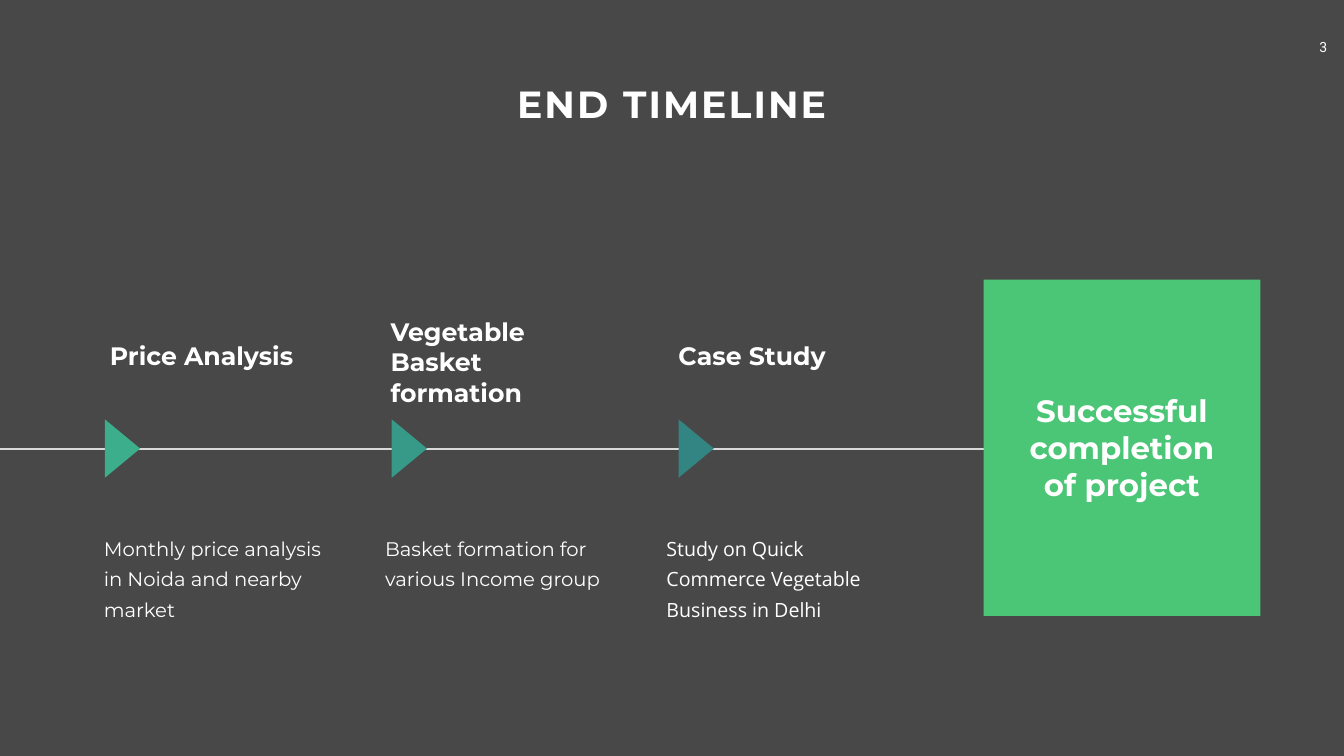
from dataclasses import dataclass

from lxml import etree
from pptx import Presentation
from pptx.dml.color import RGBColor
from pptx.enum.shapes import MSO_CONNECTOR, MSO_SHAPE
from pptx.enum.text import PP_ALIGN
from pptx.oxml.ns import qn
from pptx.util import Inches, Pt

STRAIGHT = MSO_CONNECTOR.STRAIGHT
RECTANGLE = MSO_SHAPE.RECTANGLE
TRIANGLE = MSO_SHAPE.ISOSCELES_TRIANGLE
LEFT, CENTER = PP_ALIGN.LEFT, PP_ALIGN.CENTER

AXIS_Y = 8.9
FIRST_MARKER, MARKER_STEP = 1.85, 5.69
FIRST_DETAIL, DETAIL_STEP = 1.82, 5.58


@dataclass(frozen=True)
class Theme:
    background: str = "484848"
    text: str = "FFFFFF"
    axis: str = "D9D9D9"
    goal: str = "4BC676"
    markers: tuple = ("3CAE8C", "379987", "328582")
    font: str = "Montserrat"
    detail_font: str = "Open Sans"
    number_font: str = "Roboto"
    title_size: int = 54
    goal_size: int = 44
    heading_size: int = 36
    detail_size: int = 28
    detail_line: int = 43
    number_size: int = 20


class SlideBuilder:
    def __init__(self, slide, theme):
        self.slide = slide
        self.theme = theme
        fill = slide.background.fill
        fill.solid()
        fill.fore_color.rgb = RGBColor.from_string(theme.background)

    def text(self, place, words, size, font=None, bold=False, align=LEFT,
             inset=0.1, line=None, tracking=0):
        """Add a text box; line is a fixed line height and tracking letter spacing, in points."""
        box = self.slide.shapes.add_textbox(*map(Inches, place))
        frame = box.text_frame
        frame.word_wrap = True
        frame.margin_left = frame.margin_right = Inches(inset)
        frame.margin_top = frame.margin_bottom = Inches(inset / 2)
        frame.text = words
        para = frame.paragraphs[0]
        para.alignment = align
        if line:
            para.line_spacing = Pt(line)
        span = para.runs[0]
        span.font.name = font or self.theme.font
        span.font.size = Pt(size)
        span.font.bold = bold
        span.font.color.rgb = RGBColor.from_string(self.theme.text)
        if tracking:
            span.font._element.set("spc", str(tracking * 100))

    def shape(self, kind, place, color, rotation=0):
        shape = self.slide.shapes.add_shape(kind, *map(Inches, place))
        shape.shadow.inherit = False
        shape.fill.solid()
        shape.fill.fore_color.rgb = RGBColor.from_string(color)
        shape.line.fill.background()
        shape.rotation = rotation

    def line(self, start, end, color, width):
        connector = self.slide.shapes.add_connector(
            STRAIGHT, *map(Inches, start + end))
        connector.line.color.rgb = RGBColor.from_string(color)
        connector.line.width = Pt(width)
        etree.SubElement(connector._element.spPr, qn("a:effectLst"))

    def step(self, index, heading, heading_left, heading_top, detail, detail_font):
        """Add one timeline step: heading above, marker on the axis, detail below."""
        theme = self.theme
        self.text((heading_left, heading_top, 3.92, 0.71), heading,
                  theme.heading_size, bold=True)
        width, height = 1.16, 0.7
        self.shape(TRIANGLE,
                   (FIRST_MARKER + index * MARKER_STEP, AXIS_Y - height / 2, width, height),
                   theme.markers[index], rotation=90)
        self.text((FIRST_DETAIL + index * DETAIL_STEP, 10.41, 4.81, 2), detail,
                  theme.detail_size, detail_font, inset=0.24, line=theme.detail_line)


def main():
    theme = Theme()
    deck = Presentation()
    deck.slide_width, deck.slide_height = Inches(26.66), Inches(15)
    page = SlideBuilder(deck.slides.add_slide(deck.slide_layouts[6]), theme)

    page.text((25.8, 0.72, 0.9, 0.44), "3", theme.number_size,
              theme.number_font, align=CENTER)
    page.text((9.61, 1.55, 7.43, 1.01), "END TIMELINE", theme.title_size,
              bold=True, align=CENTER, tracking=3)

    page.line((0, AXIS_Y), (21.7, AXIS_Y), theme.axis, 3)
    page.shape(RECTANGLE, (19.51, 5.55, 5.49, 6.67), theme.goal)
    page.text((20.05, 7.72, 4.41, 2.32), "Successful completion of project",
              theme.goal_size, bold=True, align=CENTER)

    steps = [
        ("Price Analysis", 2.08, 6.7,
         "Monthly price analysis in Noida and nearby market", theme.font),
        ("Vegetable Basket formation", 7.65, 6.23,
         "Basket formation for various Income group", theme.font),
        ("Case Study", 13.36, 6.7,
         "Study on Quick Commerce Vegetable Business in Delhi", theme.detail_font),
    ]
    for index, step in enumerate(steps):
        page.step(index, *step)

    deck.save("out.pptx")


if __name__ == "__main__":
    main()
